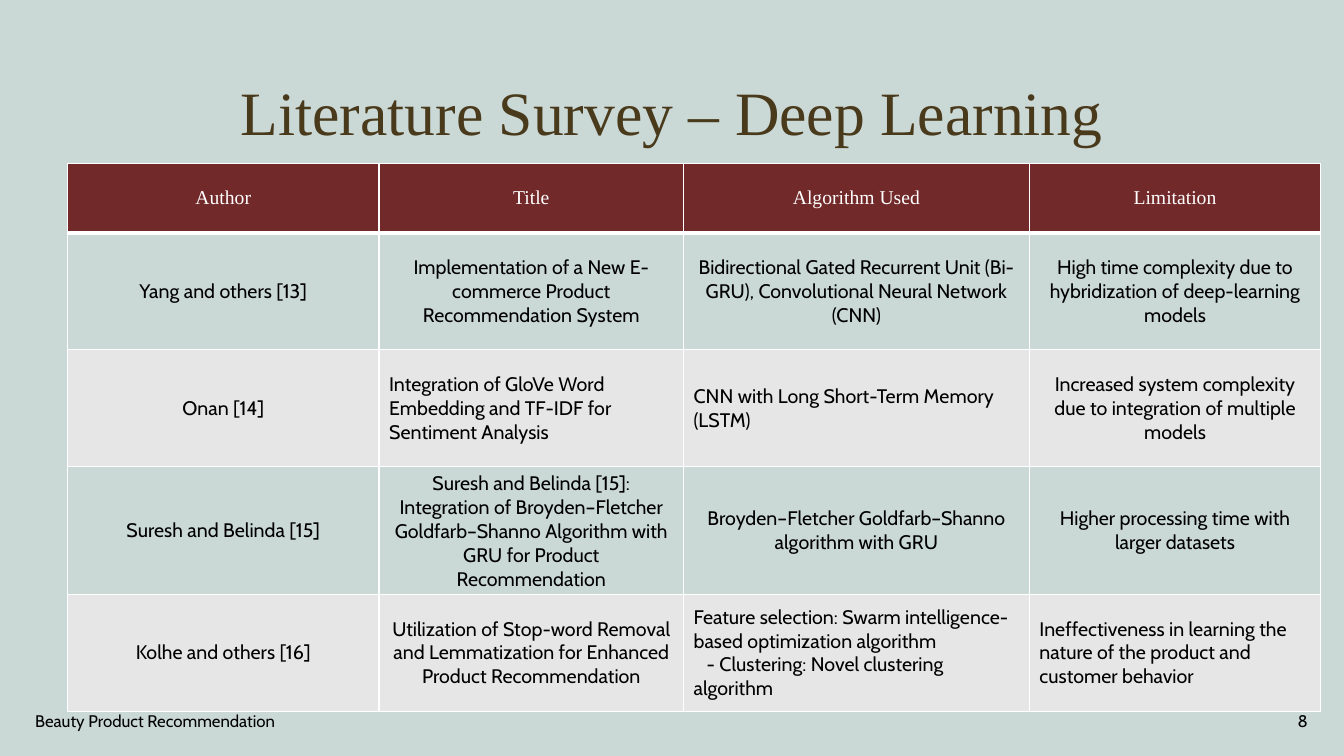
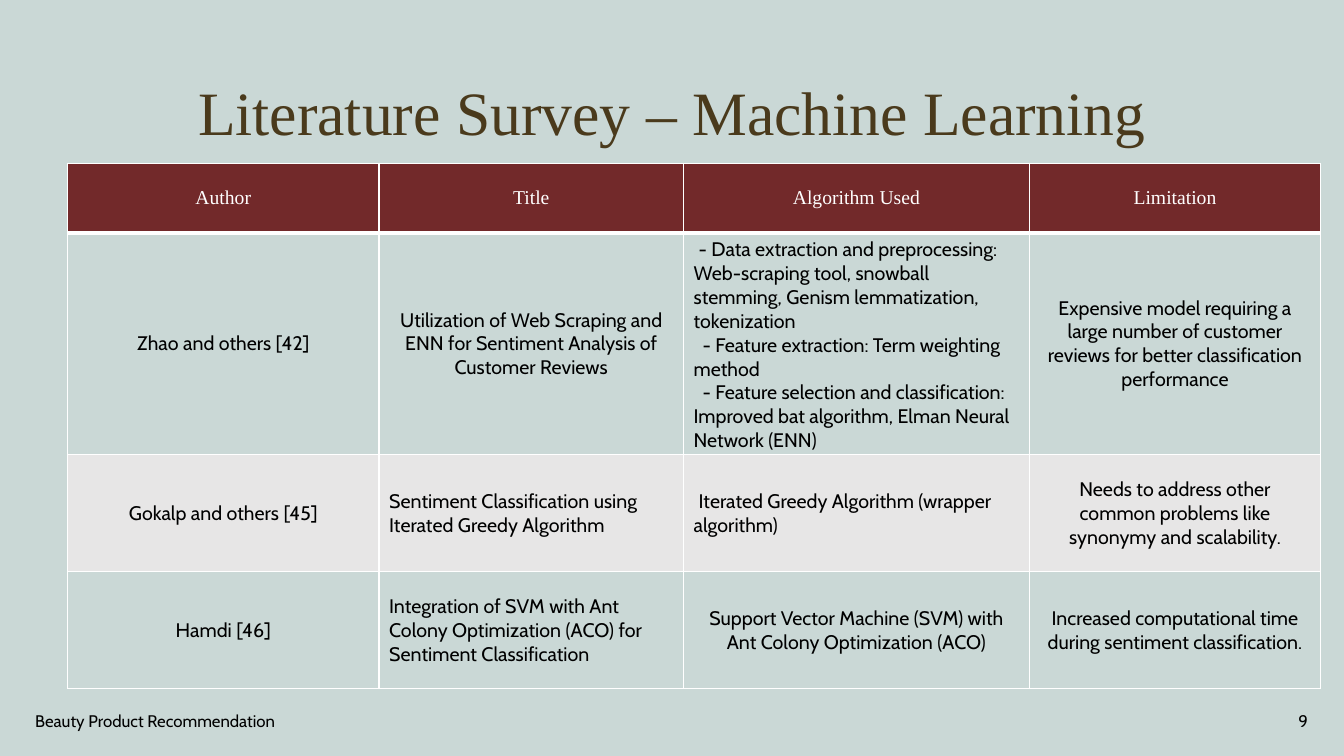
from lxml import etree
from pptx import Presentation
from pptx.dml.color import RGBColor
from pptx.enum import text as t
from pptx.oxml import ns
from pptx.util import Inches, Pt

SAGE = RGBColor(0xCA, 0xD8, 0xD6)
GREY = RGBColor(0xE7, 0xE6, 0xE6)
WINE = RGBColor(0x72, 0x29, 0x2A)
BROWN = RGBColor(0x4A, 0x3A, 0x1C)
WHITE = RGBColor(0xFF, 0xFF, 0xFF)
BLACK = RGBColor(0, 0, 0)
SERIF = "Times New Roman"
SANS = "Cabin"
LEFT, MID, RIGHT = t.PP_ALIGN.LEFT, t.PP_ALIGN.CENTER, t.PP_ALIGN.RIGHT

WIDTHS = (3.09, 3.02, 3.43, 2.89)
HEAD_TALL, ROW_TALL = 0.69, 1.16
HEADS = ("Author", "Title", "Algorithm Used", "Limitation")

# A plain string is centred; a list holds left-aligned (indent, text) lines.
DEEP = [
    ("Yang and others [13]",
     "Implementation of a New E-commerce Product Recommendation System",
     "Bidirectional Gated Recurrent Unit (Bi-GRU), Convolutional Neural Network (CNN)",
     "High time complexity due to hybridization of deep-learning models"),
    ("Onan [14]",
     [(0, "Integration of GloVe Word Embedding and TF-IDF for Sentiment Analysis")],
     [(0, "CNN with Long Short-Term Memory (LSTM)")],
     "Increased system complexity due to integration of multiple models"),
    ("Suresh and Belinda [15]",
     "Suresh and Belinda [15]: Integration of Broyden–Fletcher Goldfarb–Shanno "
     "Algorithm with GRU for Product Recommendation",
     "Broyden–Fletcher Goldfarb–Shanno algorithm with GRU",
     "Higher processing time with larger datasets"),
    ("Kolhe and others [16]",
     "Utilization of Stop-word Removal and Lemmatization for Enhanced Product Recommendation",
     [(0, "Feature selection: Swarm intelligence-based optimization algorithm"),
      (0.13, "- Clustering: Novel clustering algorithm")],
     [(0, "Ineffectiveness in learning the nature of the product and customer behavior")]),
]
MACHINE = [
    ("Zhao and others [42]",
     "Utilization of Web Scraping and ENN for Sentiment Analysis of Customer Reviews",
     [(0.05, "- Data extraction and preprocessing: Web-scraping tool, snowball stemming, "
             "Genism lemmatization, tokenization"),
      (0.09, "- Feature extraction: Term weighting method"),
      (0.09, "- Feature selection and classification: Improved bat algorithm, "
             "Elman Neural Network (ENN)")],
     "Expensive model requiring a large number of customer reviews for better "
     "classification performance"),
    ("Gokalp and others [45]",
     [(0, "Sentiment Classification using Iterated Greedy Algorithm")],
     [(0.05, "Iterated Greedy Algorithm (wrapper algorithm)")],
     "Needs to address other common problems like synonymy and scalability."),
    ("Hamdi [46]",
     [(0, "Integration of SVM with Ant Colony Optimization (ACO) for Sentiment Classification")],
     "Support Vector Machine (SVM) with Ant Colony Optimization (ACO)",
     "Increased computational time during sentiment classification."),
]


def style(para, size, font, tint, align):
    para.alignment = align
    for run in para.runs:
        run.font.size = Pt(size)
        run.font.name = font
        run.font.bold = False
        run.font.color.rgb = tint


def label(slide, box, words, size, font, tint, align):
    frame = slide.shapes.add_textbox(*map(Inches, box)).text_frame
    frame.word_wrap = True
    frame.vertical_anchor = t.MSO_ANCHOR.MIDDLE
    frame.text = words
    style(frame.paragraphs[0], size, font, tint, align)
    return frame.paragraphs[0]


def border(cell, row):
    props = cell._tc.get_or_add_tcPr()
    thick = {"T": 3 if row == 1 else 1, "B": 3 if row == 0 else 1}
    for side in "LRTB":
        line = etree.SubElement(props, ns.qn(f"a:ln{side}"), w=str(Pt(thick.get(side, 1))))
        fill = etree.SubElement(line, ns.qn("a:solidFill"))
        etree.SubElement(fill, ns.qn("a:srgbClr"), val=str(WHITE))


def fill_cell(cell, row, item):
    border(cell, row)
    cell.fill.solid()
    cell.fill.fore_color.rgb = WINE if row == 0 else SAGE if row % 2 else GREY
    cell.vertical_anchor = t.MSO_ANCHOR.MIDDLE
    font, tint = (SERIF, WHITE) if row == 0 else (SANS, BLACK)
    align = MID if isinstance(item, str) else LEFT
    lines = [(0, item)] if isinstance(item, str) else item
    cell.text_frame.text = "\n".join(words for _, words in lines)
    for para, (indent, _) in zip(cell.text_frame.paragraphs, lines):
        style(para, 14, font, tint, align)
        if indent:
            para._p.get_or_add_pPr().set("indent", str(Inches(indent)))


def survey(slide, left, top, rows):
    tall = HEAD_TALL + ROW_TALL * len(rows)
    box = map(Inches, (left, top, sum(WIDTHS), tall))
    table = slide.shapes.add_table(len(rows) + 1, len(WIDTHS), *box).table
    table.first_row = table.horz_banding = False
    for col, width in zip(table.columns, WIDTHS):
        col.width = Inches(width)
    for r, items in enumerate([HEADS, *rows]):
        table.rows[r].height = Inches(ROW_TALL if r else HEAD_TALL)
        for c, item in enumerate(items):
            fill_cell(table.cell(r, c), r, item)


def footer(slide, top, number):
    label(slide, (10.07, top, 3, 0.4), str(number), 12, SANS, BLACK, RIGHT)
    label(slide, (0.25, top, 4.5, 0.4), "Beauty Product Recommendation", 12, SANS, BLACK, LEFT)


def page(deck, topic, rows, number):
    slide = deck.slides.add_slide(deck.slide_layouts[6])
    slide.background.fill.solid()
    slide.background.fill.fore_color.rgb = SAGE
    title = label(slide, (0.92, 0.42, 11.5, 1.45), f"Literature Survey – {topic}",
                  44, SERIF, BROWN, MID)
    title.line_spacing = 0.9
    survey(slide, 0.67, 1.62, rows)
    footer(slide, 6.95, number)


def main():
    deck = Presentation()
    deck.slide_width, deck.slide_height = Inches(13.33), Inches(7.5)
    page(deck, "Deep Learning", DEEP, 8)
    page(deck, "Machine Learning", MACHINE, 9)
    deck.save("out.pptx")


if __name__ == "__main__":
    main()
